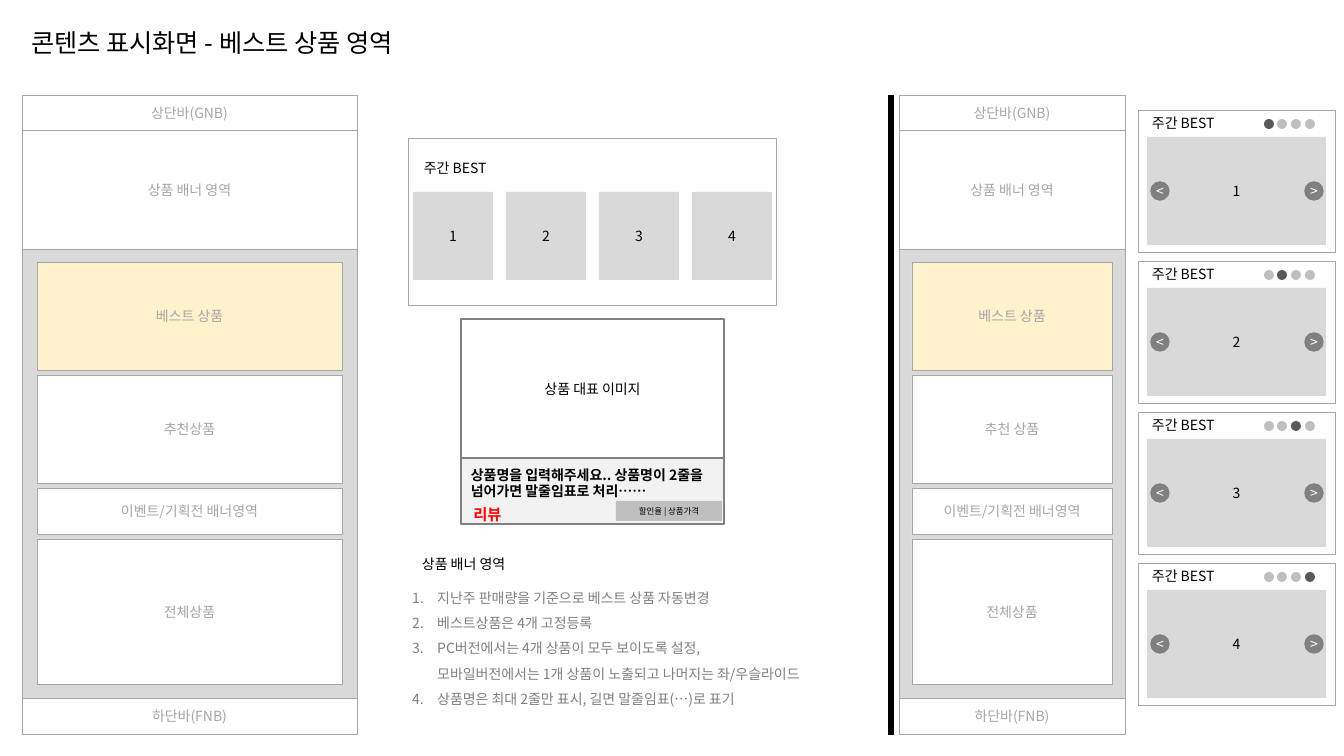
from copy import deepcopy

from lxml.etree import SubElement
from pptx import Presentation
from pptx.dml.color import RGBColor
from pptx.enum.shapes import MSO_CONNECTOR, MSO_SHAPE
from pptx.enum.text import MSO_ANCHOR, MSO_AUTO_SIZE, PP_ALIGN
from pptx.oxml.ns import qn
from pptx.util import Pt

SCALE = 914400 / 100.8
FACE = "Noto Sans CJK KR"
BLACK = RGBColor(0, 0, 0)
WHITE = RGBColor(255, 255, 255)
RED = RGBColor(255, 0, 0)
CREAM = RGBColor(0xFF, 0xF2, 0xCC)
PALE = RGBColor(0xF2, 0xF2, 0xF2)
LIGHT = RGBColor(0xD9, 0xD9, 0xD9)
SILVER = RGBColor(0xBF, 0xBF, 0xBF)
ASH = RGBColor(0xA6, 0xA6, 0xA6)
GRAY = RGBColor(0x80, 0x80, 0x80)
DARK = RGBColor(0x59, 0x59, 0x59)

RULES = [
    "지난주 판매량을 기준으로 베스트 상품 자동변경",
    "베스트상품은 4개 고정등록",
    "PC버전에서는 4개 상품이 모두 보이도록 설정,\n모바일버전에서는 1개 상품이 노출되고 나머지는 좌/우슬라이드",
    "상품명은 최대 2줄만 표시, 길면 말줄임표(…)로 표기",
]


def px(num):
    return round(num * SCALE)


def apply(item, vals):
    for key, val in vals.items():
        setattr(item, key, val)


def place(shape, box):
    apply(shape, dict(zip(("left", "top", "width", "height"), map(px, box))))


def write(shape, text, color=BLACK, size=10, bold=False, align=PP_ALIGN.LEFT,
          anchor=MSO_ANCHOR.TOP, **frame):
    """Fill a shape with one paragraph; extra names set the text frame."""
    apply(shape.text_frame, {"word_wrap": True, "auto_size": MSO_AUTO_SIZE.NONE,
                             "vertical_anchor": anchor, **frame})
    para = shape.text_frame.paragraphs[0]
    fill(para, text, color, size, bold)
    para.alignment = align


def fill(para, text, color, size, bold=False):
    """Set the text of a paragraph and the look of its runs and breaks."""
    para.text = text
    for run in para.runs:
        run.font.color.rgb = color
        apply(run.font, {"size": Pt(size), "bold": bold, "name": FACE})
        look = run.font._element if hasattr(run.font, "_element") else run._r.rPr
        SubElement(look, qn("a:ea"), typeface=FACE)
    for gap in para._p.findall(qn("a:br")):
        gap.insert(0, deepcopy(para.runs[0]._r.rPr))


def block(shapes, box, paint=WHITE, edge=None, thick=0.25, text="",
          kind=MSO_SHAPE.RECTANGLE, **style):
    shape = shapes.add_shape(kind, *map(px, box))
    shape.shadow.inherit = False
    shape.fill.solid()
    shape.fill.fore_color.rgb = paint
    if edge is None:
        shape.line.fill.background()
    else:
        shape.line.color.rgb = edge
        shape.line.width = Pt(thick)
    if text:
        write(shape, text, **{"align": PP_ALIGN.CENTER,
                              "anchor": MSO_ANCHOR.MIDDLE, **style})


def label(shapes, box, text, **style):
    write(shapes.add_textbox(*map(px, box)), text, **style)


def title(slide, box):
    head = slide.shapes.title
    place(head, box)
    write(head, "콘텐츠 표시화면 - 베스트 상품 영역", size=18)


def page(shapes, left, top, wide, pad, pick):
    """Draw a page layout with its bars, banner and four inner sections."""
    inner = wide - 2 * pad
    parts = [
        (0, 0, wide, 36, WHITE, "상단바(GNB)"),
        (0, 35, wide, 119, WHITE, "상품 배너 영역"),
        (0, 154, wide, 449, LIGHT, ""),
        (0, 603, wide, 36, WHITE, "하단바(FNB)"),
        (pad, 167, inner, 108, CREAM, "베스트 상품"),
        (pad, 280, inner, 108, WHITE, pick),
        (pad, 393, inner, 46, WHITE, "이벤트/기획전 배너영역"),
        (pad, 444, inner, 145, WHITE, "전체상품"),
    ]
    for x, y, w, h, paint, text in parts:
        block(shapes, (left + x, top + y, w, h), paint, ASH, text=text, color=ASH)


def best(shapes, left, top):
    """Draw the desktop panel with four products in a row."""
    block(shapes, (left, top, 368, 167), edge=ASH)
    label(shapes, (left + 6, top + 17, 253, 27), "주간 BEST")
    tiles = shapes.add_group_shape().shapes
    for i in range(4):
        block(tiles, (left + 5 + 93 * i, top + 54, 80, 88), LIGHT, text=str(i + 1))


def item(shapes, left, top):
    """Draw one product with its image, name, price and review."""
    block(shapes, (left, top, 263, 139), edge=GRAY, thick=1, text="상품 대표 이미지")
    block(shapes, (left, top + 139, 263, 66), PALE, GRAY, 1,
          "상품명을 입력해주세요.. 상품명이 2줄을 넘어가면 말줄임표로 처리……",
          bold=True, align=PP_ALIGN.LEFT, anchor=MSO_ANCHOR.TOP, margin_top=px(8))
    block(shapes, (left + 155, top + 182, 106, 20), SILVER,
          text="할인율 | 상품가격", size=6)
    label(shapes, (left + 1, top + 181, 51, 29), "리뷰", color=RED, size=11,
          bold=True, align=PP_ALIGN.CENTER, margin_left=0, margin_right=0)


def notes(slide, left, top):
    """Place the heading and the numbered list of rules."""
    label(slide.shapes, (left, top, 253, 27), "상품 배너 영역")
    body = slide.placeholders[1]
    place(body, (left, top + 30, 396, 149))
    frame = body.text_frame
    apply(frame, {"margin_left": 0, "margin_top": 0, "margin_right": 0,
                  "margin_bottom": 0, "word_wrap": True,
                  "auto_size": MSO_AUTO_SIZE.NONE,
                  "vertical_anchor": MSO_ANCHOR.TOP})
    for i, rule in enumerate(RULES):
        para = frame.add_paragraph() if i else frame.paragraphs[0]
        apply(para, {"line_spacing": 1.5, "space_before": Pt(0),
                     "alignment": PP_ALIGN.LEFT})
        prop = para._p.get_or_add_pPr()
        prop.set("marL", "228600")
        prop.set("indent", "-228600")
        SubElement(prop, qn("a:buFont"), typeface=FACE)
        SubElement(prop, qn("a:buAutoNum"), type="arabicPeriod")
        fill(para, rule, GRAY, 10)


def card(shapes, left, top, spot):
    """Draw one mobile slide with its dots and arrows."""
    block(shapes, (left, top, 197, 142), edge=ASH)
    label(shapes, (left + 4, top, 171, 27), "주간 BEST")
    block(shapes, (left + 9, top + 27, 179, 108), LIGHT, text=str(spot + 1))
    dots = shapes.add_group_shape().shapes
    for i in range(4):
        block(dots, (left + 126 + 41 * i // 3, top + 9, 10, 10),
              DARK if i == spot else SILVER, kind=MSO_SHAPE.OVAL)
    for x, mark in ((13, "<"), (167, ">")):
        block(shapes, (left + x, top + 72, 18, 18), GRAY, GRAY, 1, mark,
              MSO_SHAPE.OVAL, color=WHITE, margin_left=0, margin_right=0,
              margin_top=0, margin_bottom=0, word_wrap=False)


def split(shapes, x, top, end):
    line = shapes.add_connector(MSO_CONNECTOR.STRAIGHT, px(x), px(top), px(x), px(end))
    line.line.color.rgb = BLACK
    line.line.width = Pt(4.5)
    SubElement(line._element.spPr, qn("a:effectLst"))


def main():
    deck = Presentation()
    apply(deck, {"slide_width": px(1344), "slide_height": px(756)})
    slide = deck.slides.add_slide(deck.slide_layouts[1])
    shapes = slide.shapes
    title(slide, (21, 22, 1287, 40))
    page(shapes, 22, 95, 335, 15, "추천상품")
    best(shapes, 408, 138)
    item(shapes, 461, 319)
    notes(slide, 412, 551)
    split(shapes, 891, 95, 735)
    page(shapes, 899, 95, 226, 13, "추천 상품")
    for i in range(4):
        card(shapes, 1138, 110 + 151 * i, i)
    deck.save("out.pptx")


if __name__ == "__main__":
    main()
